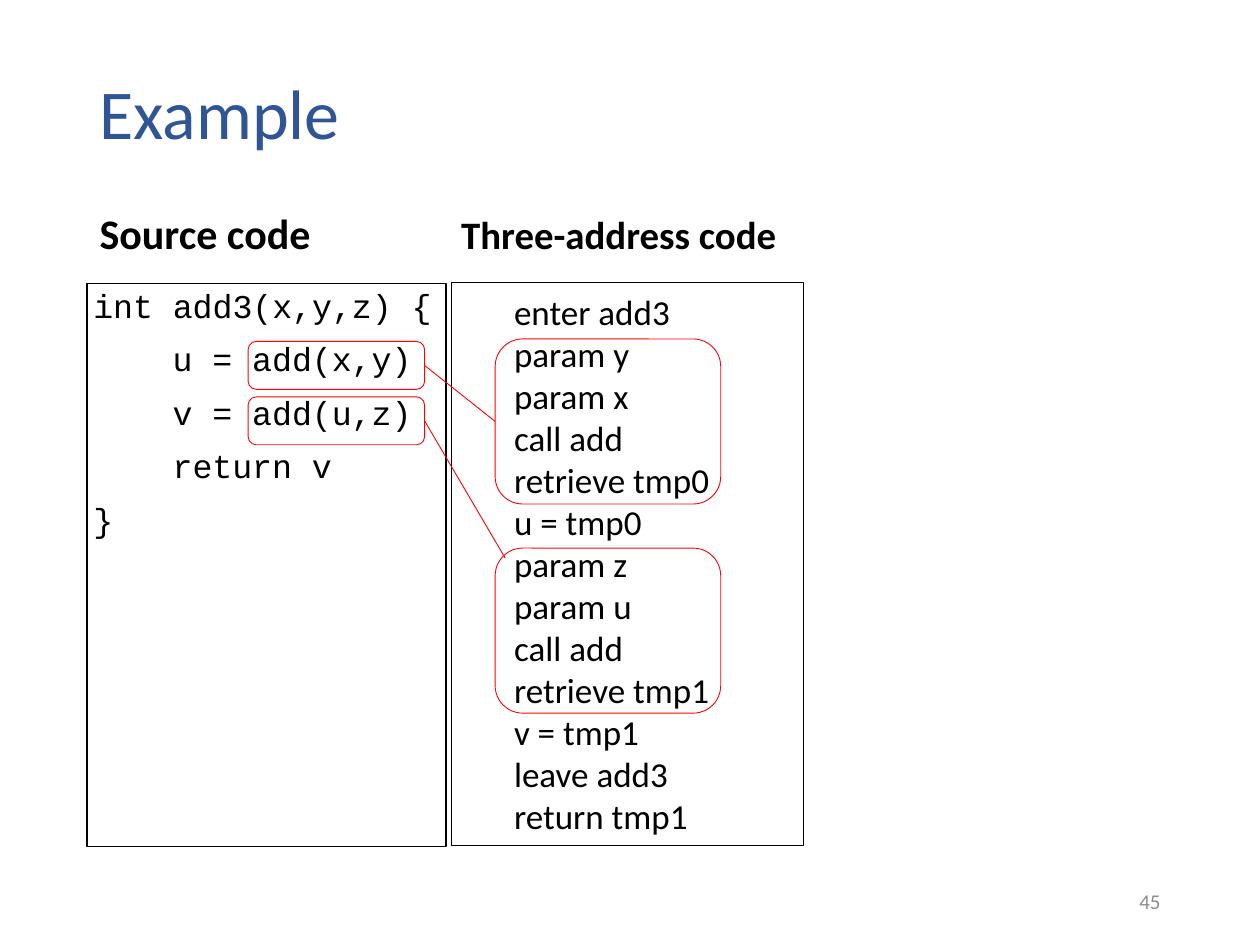
"""Build a slide that sets source code beside its three-address code."""
from lxml import etree
from pptx import Presentation, util as u
from pptx.dml import color
from pptx.enum import shapes, text
from pptx.oxml import ns

INK = {"title": "2F5597", "text": "000000", "mark": "FF0000", "page": "8C8C8C"}
MID, TOP = text.MSO_ANCHOR.MIDDLE, text.MSO_ANCHOR.TOP
LEFT, RIGHT = text.PP_ALIGN.LEFT, text.PP_ALIGN.RIGHT
SIDES = ("margin_left", "margin_top", "margin_right", "margin_bottom")
LOOSE = {"line_spacing": 0.9, "space_before": u.Pt(10)}

SOURCE = [(0, "int add3(x,y,z) {"), (1, "u = add(x,y)"), (1, "v = add(u,z)"),
          (1, "return v"), (0, "}")]
STEPS = ["enter add3", "param y", "param x", "call add", "retrieve tmp0",
         "u = tmp0", "param z", "param u", "call add", "retrieve tmp1",
         "v = tmp1", "leave add3", "return tmp1"]


def rgb(name):
    return color.RGBColor.from_string(INK[name])


class Deck:
    """Hold the style and the current slide."""

    def __init__(self):
        self.prs = Presentation()
        self.prs.slide_width, self.prs.slide_height = u.Inches(10), u.Inches(7.5)
        self.slide = self.prs.slides.add_slide(self.prs.slide_layouts[4])
        self.font = "Calibri"

    def place(self, shape, box):
        for key, val in zip(("left", "top", "width", "height"), box):
            setattr(shape, key, u.Inches(val))

    def edge(self, shape, ink, width):
        shape.line.color.rgb = rgb(ink)
        shape.line.width = u.Pt(width)

    def fill(self, shape, lines, size, ink="text", font=None, bold=False,
             anchor=MID, align=LEFT, pad=(0.1, 0.05, 0.1, 0.05), para=None):
        frame = shape.text_frame
        look = {"word_wrap": True, "auto_size": text.MSO_AUTO_SIZE.NONE,
                "vertical_anchor": anchor}
        look.update(zip(SIDES, map(u.Inches, pad)))
        for key, val in look.items():
            setattr(frame, key, val)
        frame.text = "\n".join(lines)
        form = {"name": font or self.font, "size": u.Pt(size), "bold": bold}
        for par in frame.paragraphs:
            for key, val in {"alignment": align, **(para or {})}.items():
                setattr(par, key, val)
            run = par.runs[0].font
            for key, val in form.items():
                setattr(run, key, val)
            run.color.rgb = rgb(ink)

    def holder(self, idx, box, lines, size, **style):
        shape = self.slide.placeholders[idx]
        self.place(shape, box)
        self.fill(shape, lines, size, **style)
        return shape

    def code(self, idx, box, rows, size, step):
        shape = self.holder(idx, box, [row for _, row in rows], size,
                            font="Courier New", anchor=TOP, pad=(0.05,) * 4,
                            para=LOOSE)
        self.edge(shape, "text", 0.75)
        for par, (level, _) in zip(shape.text_frame.paragraphs, rows):
            props = par._p.get_or_add_pPr()
            props.set("marL", str(u.Inches(level * step)))
            props.set("indent", "0")
            etree.SubElement(props, ns.qn("a:buNone"))

    def label(self, box, words, size, **style):
        shape = self.slide.shapes.add_textbox(*map(u.Inches, box))
        self.fill(shape, [words], size, **style)

    def frame(self, box, ink, kind=shapes.MSO_SHAPE.RECTANGLE):
        shape = self.slide.shapes.add_shape(kind, *map(u.Inches, box))
        shape.shadow.inherit = False
        shape.fill.background()
        self.edge(shape, ink, 0.5)
        return shape

    def mark(self, box):
        return self.frame(box, "mark", shapes.MSO_SHAPE.ROUNDED_RECTANGLE)

    def link(self, start, goal=None, end=(0, 0)):
        line = self.slide.shapes.add_connector(
            shapes.MSO_CONNECTOR.STRAIGHT, 0, 0, *map(u.Inches, end))
        line.begin_connect(start, 3)
        if goal is not None:
            line.end_connect(goal, 1)
        self.edge(line, "mark", 0.5)
        etree.SubElement(line._element.spPr, ns.qn("a:effectLst"))

    def drop(self, idx):
        item = self.slide.placeholders[idx]._element
        item.getparent().remove(item)

    def save(self):
        self.prs.save("out.pptx")


def main():
    deck = Deck()
    deck.holder(0, (0.69, 0.4, 8.62, 1.05), ["Example"], 40, ink="title",
                para={"line_spacing": 0.9})
    deck.holder(1, (0.69, 1.57, 2.85, 0.61), ["Source code"], 24, bold=True,
                para=LOOSE)
    deck.code(2, (0.69, 2.25, 2.85, 4.47), SOURCE, 19, 0.63)
    deck.holder(3, (3.56, 1.57, 2.8, 0.62), ["Three-address code"], 22.2,
                bold=True, para=LOOSE)
    deck.drop(4)
    deck.label((7.06, 6.95, 2.25, 0.4), "45", 12, ink="page", align=RIGHT)
    steps = deck.frame((3.58, 2.24, 2.8, 4.47), "text")
    deck.fill(steps, STEPS, 20, pad=(0.5, 0, 0.1, 0))
    calls = [deck.mark((1.97, top, 1.4, 0.38)) for top in (2.71, 3.15)]
    groups = [deck.mark((3.93, top, 1.79, 1.31)) for top in (2.69, 4.35)]
    deck.link(calls[0], groups[0])
    deck.link(calls[1], end=(4.01, 4.43))
    deck.save()


if __name__ == "__main__":
    main()
